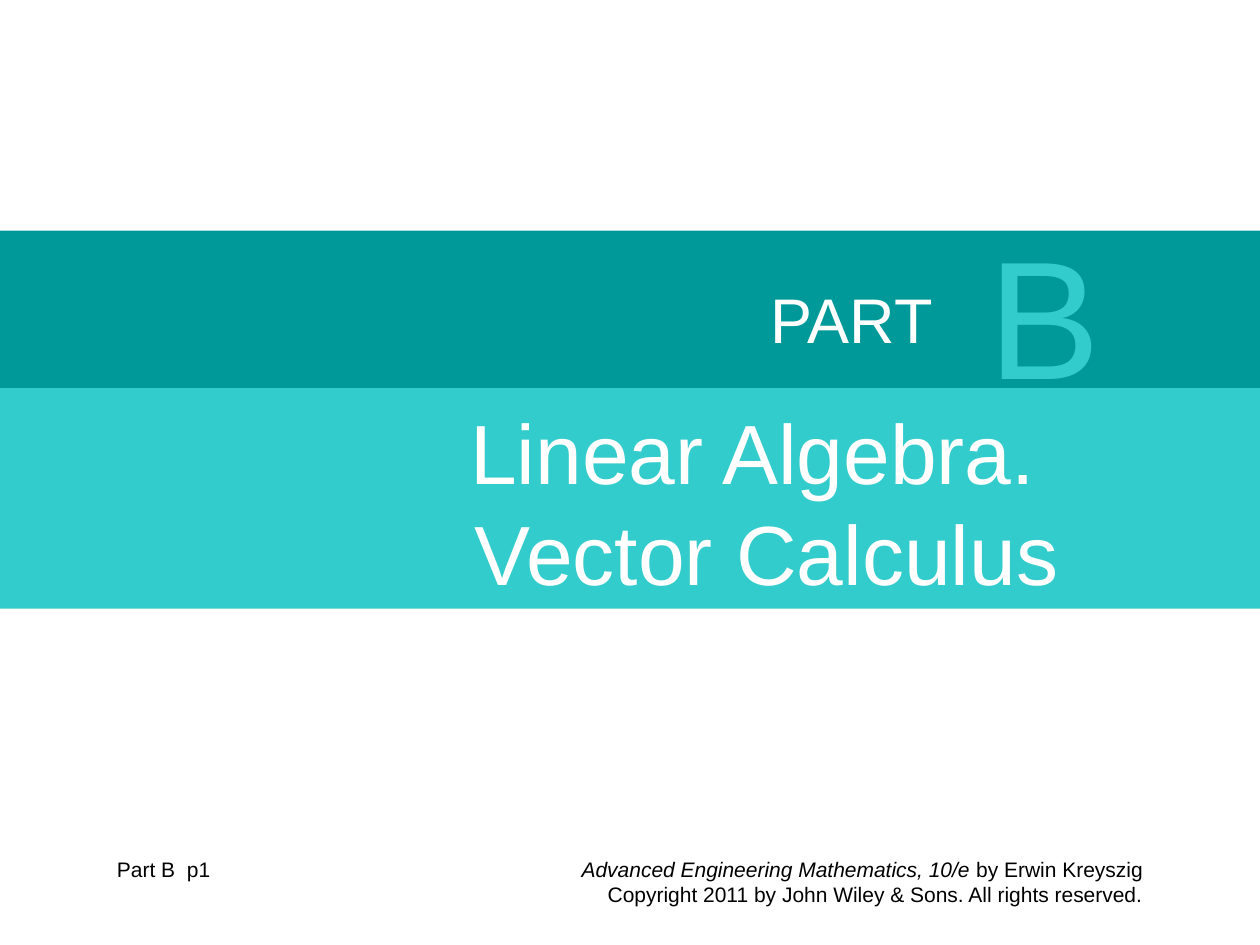
from pptx import Presentation
from pptx.dml.color import RGBColor
from pptx.enum.shapes import MSO_SHAPE
from pptx.enum.text import MSO_ANCHOR, PP_ALIGN
from pptx.util import Inches, Pt

RECT = MSO_SHAPE.RECTANGLE
TOP = MSO_ANCHOR.TOP
LEFT, RIGHT = PP_ALIGN.LEFT, PP_ALIGN.RIGHT
WIDE, HIGH = 10, 7.5
FONT = "Arial"
WHITE, BLACK, TEAL, AQUA = "FFFFFF", "000000", "009999", "33CCCC"

BANDS = [(1.83, 1.25, TEAL), (3.08, 1.75, AQUA)]
TITLE = [[("Linear Algebra.  Vector Calculus", False)]]
PLACE = (1.75, 3.08, 6.75, 1.7)
LABELS = [
    ((5.42, 2.13, 2.08, 0.7), [[("PART", False)]], 36, WHITE, RIGHT, 0.1),
    ((7.75, 1.58, 1.08, 1.7), [[("B", False)]], 96, AQUA, LEFT, 0.1),
    ((0.83, 6.75, 1.92, 0.3), [[("Part B  p1", False)]], 12, BLACK, LEFT, 0.05),
    ((3.5, 6.75, 5.67, 0.5), [
        [("Advanced Engineering Mathematics, 10/e ", True),
         ("by Erwin Kreyszig", False)],
        [("Copyright 2011 by John Wiley & Sons. All rights reserved.", False)],
    ], 12, BLACK, RIGHT, 0.05),
]


def color(code):
    return RGBColor.from_string(code)


def write(shape, lines, size, ink, align, inset):
    frame = shape.text_frame
    frame.word_wrap = True
    frame.vertical_anchor = TOP
    frame.margin_left = frame.margin_right = Inches(0.1)
    frame.margin_top, frame.margin_bottom = Inches(inset), Inches(0.05)
    for row, line in enumerate(lines):
        para = frame.add_paragraph() if row else frame.paragraphs[0]
        para.alignment = align
        para.line_spacing = Pt(size * 1.2)
        for text, slant in line:
            run = para.add_run()
            run.text = text
            font = run.font
            font.name, font.size, font.italic = FONT, Pt(size), slant
            font.color.rgb = color(ink)


deck = Presentation()
deck.slide_width, deck.slide_height = Inches(WIDE), Inches(HIGH)
slide = deck.slides.add_slide(deck.slide_layouts[5])
shapes = slide.shapes
title = shapes.title

for top, tall, fill in BANDS:
    band = shapes.add_shape(RECT, 0, Inches(top), Inches(WIDE), Inches(tall))
    band.shadow.inherit = False
    band.fill.solid()
    band.fill.fore_color.rgb = color(fill)
    band.line.fill.background()

shapes.element.append(title.element)
title.left, title.top, title.width, title.height = map(Inches, PLACE)
write(title, TITLE, 48, WHITE, RIGHT, 0.1)

for place, *rest in LABELS:
    write(shapes.add_textbox(*map(Inches, place)), *rest)

deck.save("out.pptx")
